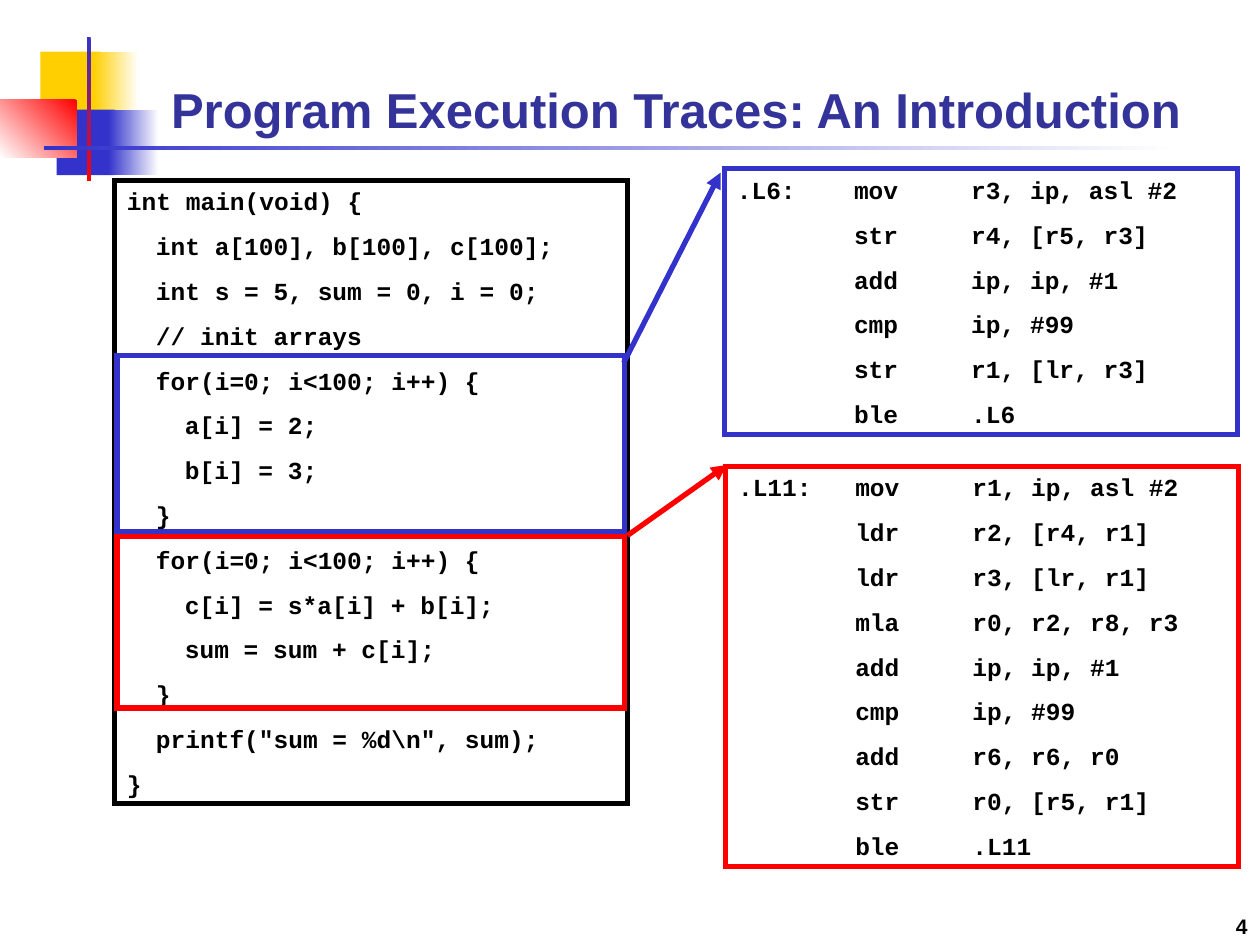
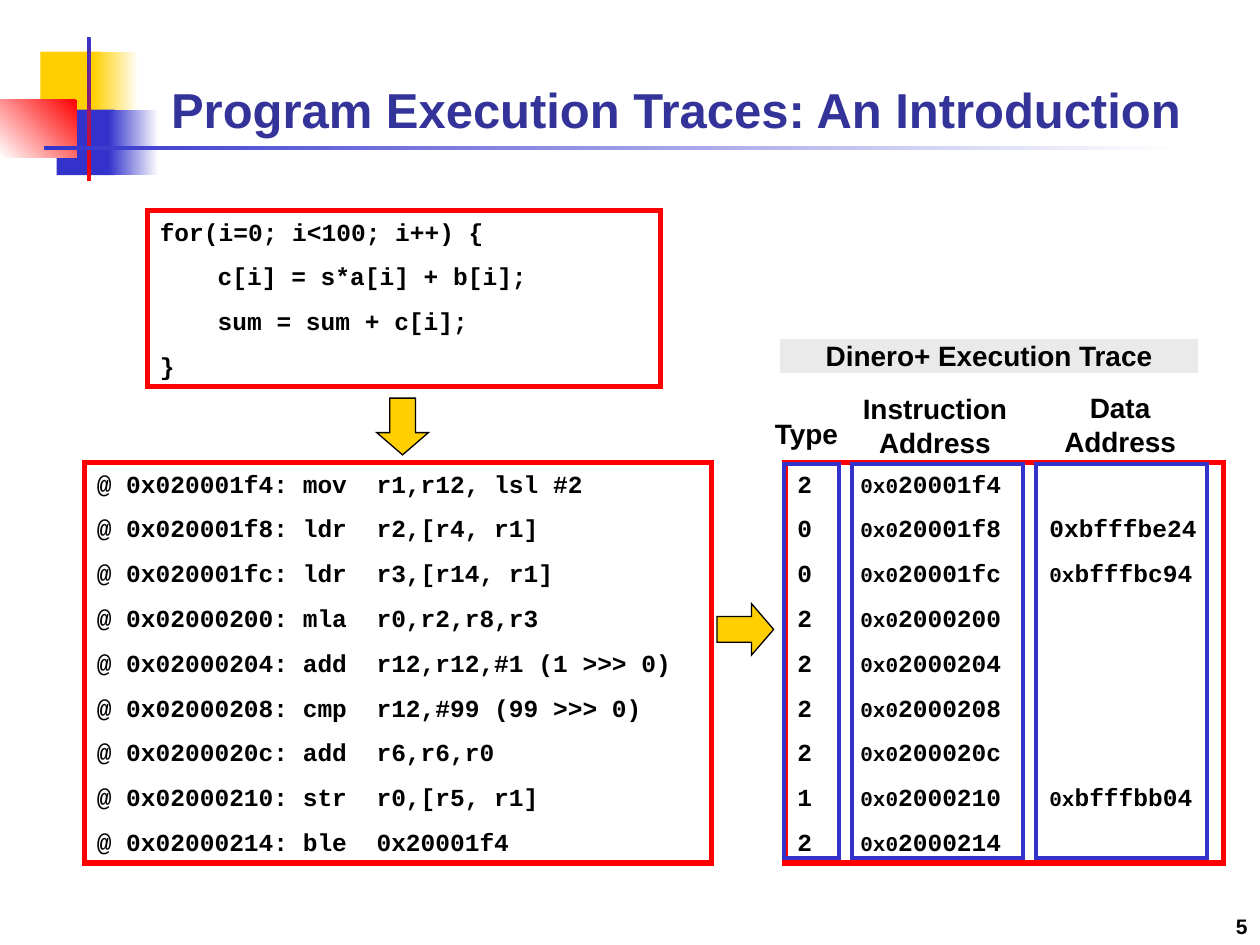
from dataclasses import dataclass
from lxml import etree
from pptx import Presentation, util as u
from pptx.dml.color import RGBColor
from pptx.enum import shapes, text
from pptx.oxml import ns


@dataclass(frozen=True)
class Theme:
    gold: str = "FFCF01"
    blue: str = "3333CC"
    red: str = "FF0000"
    white: str = "FFFFFF"
    black: str = "000000"
    navy: str = "333399"
    gray: str = "EAEAEA"
    sans: str = "Arial"
    mono: str = "Courier New"
    title: float = 28
    head: float = 16
    code: float = 14
    small: float = 12
    gap: float = 8.8
    rule: float = 3
    indent: float = 0.23


T = Theme()
KIND = shapes.MSO_SHAPE
ALIGN = text.PP_ALIGN
TITLE = "Program Execution Traces: An Introduction"


def rgb(tone):
    return RGBColor.from_string(tone)


def inches(box):
    return [u.Inches(n) for n in box]


def shape(slide, box, fill=None, line=None, width=T.rule, kind=KIND.RECTANGLE):
    item = slide.shapes.add_shape(kind, *inches(box))
    item.shadow.inherit = False
    if fill:
        item.fill.solid()
        item.fill.fore_color.rgb = rgb(fill)
    else:
        item.fill.background()
    if line:
        item.line.color.rgb = rgb(line)
        item.line.width = u.Pt(width)
        etree.SubElement(item.line._get_or_add_ln(), ns.qn("a:miter"), lim="800000")
    else:
        item.line.fill.background()
    return item


def fade(slide, box, start, end, angle=180):
    fill = shape(slide, box).fill
    fill.gradient()
    fill.gradient_angle = angle
    for stop, tone in zip(fill.gradient_stops, (start, end)):
        stop.color.rgb = rgb(tone)


def frame(item, inset=True, anchor=text.MSO_ANCHOR.TOP, grow=True):
    body = item.text_frame
    body.word_wrap = True
    body.vertical_anchor = anchor
    body.margin_left = body.margin_right = u.Inches(0.1 if inset else 0)
    body.margin_top = body.margin_bottom = u.Inches(0.05 if inset else 0)
    if grow:
        body.auto_size = text.MSO_AUTO_SIZE.SHAPE_TO_FIT_TEXT
    return body


def style(par, size, face=T.sans, tone=T.black, align=ALIGN.LEFT):
    par.alignment = align
    par.font.name = face
    par.font.size = u.Pt(size)
    par.font.bold = True
    par.font.color.rgb = rgb(tone)


def label(slide, box, words, fill=None):
    item = shape(slide, box, fill) if fill else slide.shapes.add_textbox(*inches(box))
    par = frame(item, inset=False).paragraphs[0]
    par.text = words
    style(par, T.head, align=ALIGN.CENTER)


def edge(slide, box, words, size, tone, align):
    item = slide.shapes.add_textbox(*inches(box))
    par = frame(item, anchor=text.MSO_ANCHOR.BOTTOM, grow=False).paragraphs[0]
    par.text = words
    style(par, size, tone=tone, align=align)


def code(slide, box, tone, rows, tab=0.5):
    body = frame(shape(slide, box, line=tone))
    for i, (depth, runs) in enumerate(rows):
        par = body.add_paragraph() if i else body.paragraphs[0]
        props = par._p.get_or_add_pPr()
        props.set("marL", str(u.Inches(depth * T.indent)))
        props.set("indent", "0")
        props.set("defTabSz", str(u.Inches(tab)))
        par.space_before = u.Pt(T.gap)
        style(par, T.code, T.mono)
        for words, size in runs:
            run = par.add_run()
            run.text = words
            if size != T.code:
                run.font.size = u.Pt(size)


def plain(words, depth=0):
    return depth, [(words, T.code)]


def loop(outer, *steps):
    inner = [plain(step, 2) for step in steps]
    return [plain("for(i=0; i<100; i++) {", outer), *inner, plain("}", outer)]


def arrow(slide, start, end, tone):
    line = slide.shapes.add_connector(shapes.MSO_CONNECTOR.STRAIGHT, *inches(start + end))
    line.line.color.rgb = rgb(tone)
    line.line.width = u.Pt(T.rule)
    etree.SubElement(line.line._get_or_add_ln(), ns.qn("a:tailEnd"), type="triangle")
    etree.SubElement(line._element.spPr, ns.qn("a:effectLst"))


def block(slide, box, turn=0):
    item = shape(slide, box, T.gold, T.black, 0.75, KIND.DOWN_ARROW)
    item.adjustments[0] = 0.5
    item.adjustments[1] = 0.43
    item.rotation = turn


def base(deck, number):
    slide = deck.slides.add_slide(deck.slide_layouts[6])
    shape(slide, (0.32, 0.41, 0.48, 0.52), T.gold)
    fade(slide, (0.74, 0.41, 0.36, 0.52), T.white, T.gold)
    shape(slide, (0.45, 0.87, 0.46, 0.52), T.blue)
    fade(slide, (0.86, 0.87, 0.4, 0.52), T.white, T.blue)
    fade(slide, (0, 0.79, 0.61, 0.46), T.red, T.white, 225)
    fade(slide, (0.69, 0.29, 0.03, 1.15), T.blue, T.red, 270)
    fade(slide, (0.35, 1.16, 9, 0.03), T.white, T.blue)
    edge(slide, (1.26, 0.17, 8.52, 0.98), TITLE, T.title, T.navy, ALIGN.LEFT)
    edge(slide, (7.92, 7, 2.08, 0.5), str(number), T.small, T.black, ALIGN.RIGHT)
    return slide


SUMS = ("c[i] = s*a[i] + b[i];", "sum = sum + c[i];")
MAIN = [
    plain("int main(void) {"),
    plain("int a[100], b[100], c[100];", 1),
    plain("int s = 5, sum = 0, i = 0;", 1),
    plain("// init arrays", 1),
    *loop(1, "a[i] = 2;", "b[i] = 3;"),
    *loop(1, *SUMS),
    plain('printf("sum = %d\\n", sum);', 1),
    plain("}"),
]
INIT = [
    ("mov", "r3, ip, asl #2"), ("str", "r4, [r5, r3]"), ("add", "ip, ip, #1"),
    ("cmp", "ip, #99"), ("str", "r1, [lr, r3]"), ("ble", ".L6"),
]
WORK = [
    ("mov", "r1, ip, asl #2"), ("ldr", "r2, [r4, r1]"), ("ldr", "r3, [lr, r1]"),
    ("mla", "r0, r2, r8, r3"), ("add", "ip, ip, #1"), ("cmp", "ip, #99"),
    ("add", "r6, r6, r0"), ("str", "r0, [r5, r1]"), ("ble", ".L11"),
]
STEPS = [
    ("20001f4", "mov", "r1,r12, lsl #2", "2", []),
    ("20001f8", "ldr", "r2,[r4, r1]", "0", [("0xbfffbe24", T.code)]),
    ("20001fc", "ldr", "r3,[r14, r1]", "0", [("0x", T.small), ("bfffbc94", T.code)]),
    ("2000200", "mla", "r0,r2,r8,r3", "2", []),
    ("2000204", "add", "r12,r12,#1 (1 >>> 0)", "2", []),
    ("2000208", "cmp", "r12,#99 (99 >>> 0)", "2", []),
    ("200020c", "add", "r6,r6,r0", "2", []),
    ("2000210", "str", "r0,[r5, r1]", "1", [("0x", T.small), ("bfffbb04", T.code)]),
    ("2000214", "ble", "0x20001f4", "2", []),
]


def listing(slide, box, tone, mark, ops):
    rows = [plain(f"{'' if i else mark}\t{op}\t{args}") for i, (op, args) in enumerate(ops)]
    code(slide, box, tone, rows, 0.93)


def source(slide, box):
    x, y, w, h = box
    code(slide, box, T.black, MAIN)
    for top, high, tone in ((1.39, 1.4, T.blue), (2.83, 1.36, T.red)):
        shape(slide, (x + 0.02, y + top, w - 0.04, high), line=tone)


def trace(slide, box):
    x, y, w, h = box
    rows = []
    for addr, op, args, kind, data in STEPS:
        tail = [("\t", T.code), *data] if data else []
        rows.append((0, [(kind + "\t", T.code), ("0x0", T.small), (addr, T.code), *tail]))
    code(slide, box, T.red, rows)
    for left, wide in ((-0.01, 0.44), (0.53, 1.36), (1.99, 1.36)):
        shape(slide, (x + left, y + 0.01, wide, h - 0.05), line=T.blue, width=2.25)
    label(slide, (x + 0.53, y - 0.56, 1.32, 0.53), "Instruction\nAddress")
    label(slide, (x + 1.99, y - 0.57, 1.34, 0.53), "Data\nAddress")
    label(slide, (x - 0.15, y - 0.36, 0.64, 0.27), "Type")
    label(slide, (x - 0.04, y - 0.98, 3.32, 0.27), "Dinero+ Execution Trace", T.gray)


def compile_slide(deck):
    slide = base(deck, 4)
    source(slide, (0.91, 1.43, 4.07, 4.95))
    listing(slide, (5.76, 3.7, 4.07, 3.18), T.red, ".L11:", WORK)
    listing(slide, (5.75, 1.34, 4.07, 2.11), T.blue, ".L6:", INIT)
    arrow(slide, (4.95, 2.88), (5.72, 1.37), T.blue)
    arrow(slide, (4.98, 4.25), (5.77, 3.69), T.red)


def trace_slide(deck):
    slide = base(deck, 5)
    code(slide, (1.17, 1.67, 4.07, 1.4), T.red, loop(0, *SUMS))
    trace(slide, (6.23, 3.67, 3.48, 3.18))
    rows = [plain(f"@ 0x0{addr}: {op}\t{args}") for addr, op, args, *_ in STEPS]
    code(slide, (0.67, 3.67, 4.98, 3.18), T.red, rows, 2.22)
    block(slide, (2.99, 3.16, 0.41, 0.45))
    block(slide, (5.71, 4.77, 0.41, 0.45), 270)


def main():
    deck = Presentation()
    deck.slide_width, deck.slide_height = u.Inches(10), u.Inches(7.5)
    compile_slide(deck)
    trace_slide(deck)
    deck.save("out.pptx")


if __name__ == "__main__":
    main()
